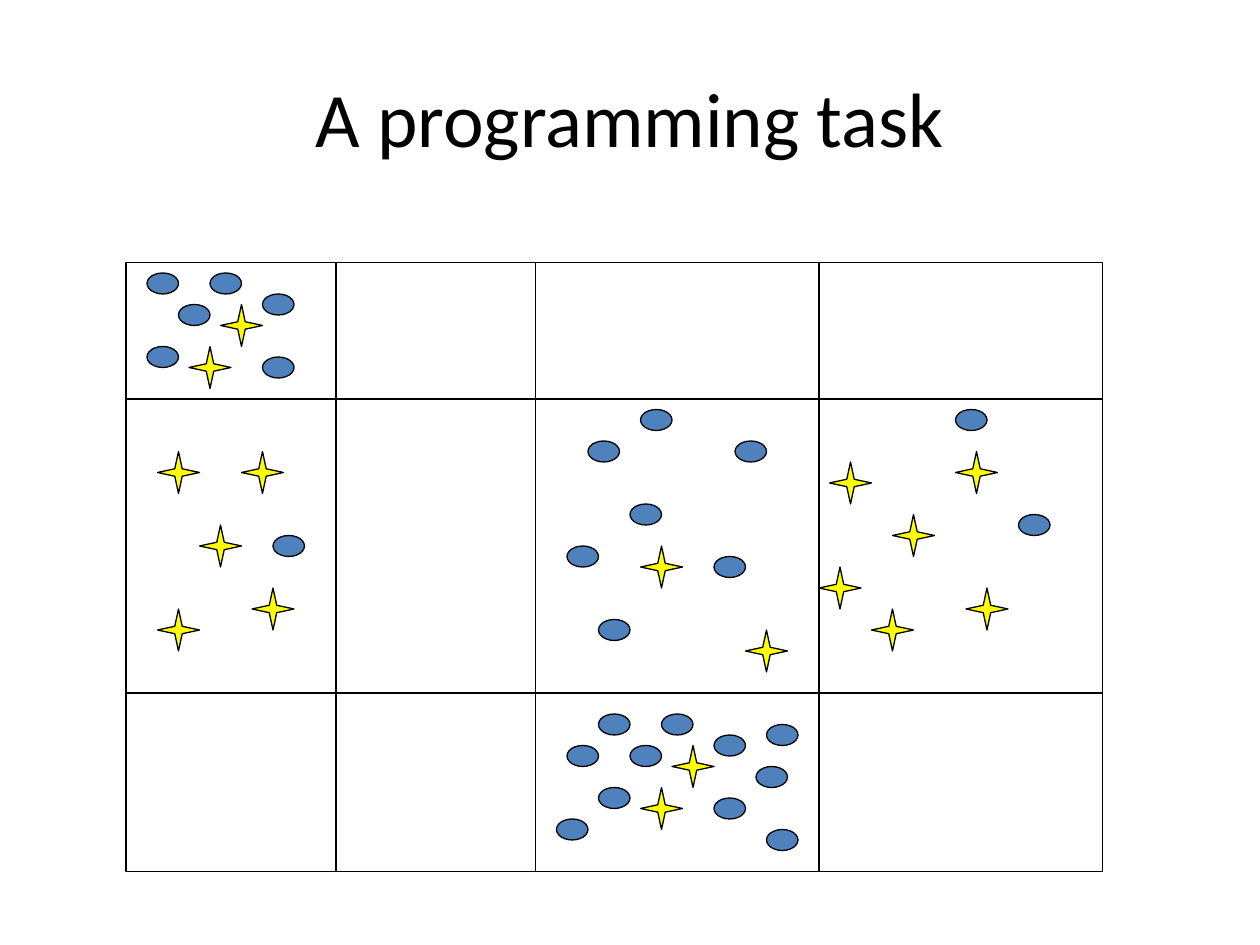
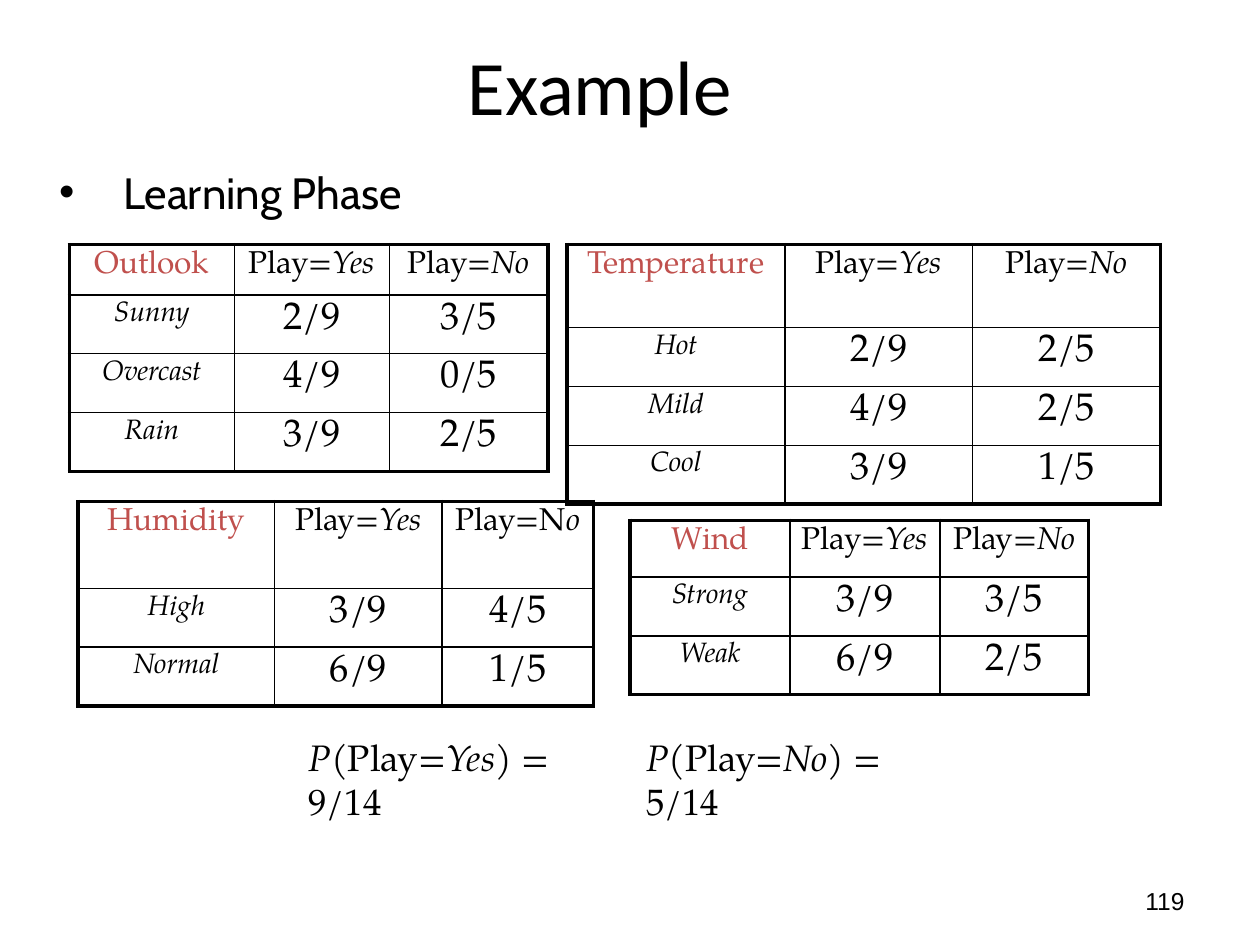
from lxml import etree
from pptx import Presentation
from pptx.dml.color import RGBColor
from pptx.enum import shapes, text
from pptx.oxml import ns
from pptx.util import Inches, Pt

BLACK = RGBColor(0x00, 0x00, 0x00)
WHITE = RGBColor(0xFF, 0xFF, 0xFF)
BLUE = RGBColor(0x4F, 0x81, 0xBD)
YELLOW = RGBColor(0xFF, 0xFF, 0x00)
RED = RGBColor(0xC0, 0x50, 0x4D)

TITLE_FONT, BULLET_FONT, PAGE_FONT = "Calibri", "Cabin", "Arial"
MATH_FONT = "TeX Gyre Pagella"
TITLE_ONLY = 5
THIN, THICK = 1, 2.25

# The scatter drawing sits on a grid of twelfths of an inch.
GRID_COLUMNS = [12, 32, 51, 78, 105]
GRID_ROWS = [25, 38, 66, 83]
OVAL_SIZE, STAR_SIZE = (3, 2), (4, 4)

# Each region of the grid: positions of its ovals, then of its stars.
REGIONS = {
    "top left": (
        [(17, 29), (14, 33), (14, 26), (20, 26), (25, 28), (25, 34)],
        [(18, 33), (21, 29)]),
    "middle left": (
        [(26, 51)],
        [(15, 43), (19, 50), (23, 43), (15, 58), (24, 56)]),
    "centre": (
        [(60, 48), (57, 59), (56, 42), (70, 42), (61, 39), (68, 53), (54, 52)],
        [(61, 52), (71, 60)]),
    "middle right": (
        [(91, 39), (97, 49)],
        [(79, 44), (78, 54), (91, 43), (83, 58), (92, 56), (85, 49)]),
    "bottom": (
        [(60, 71), (57, 75), (57, 68), (63, 68), (68, 70), (68, 76),
         (73, 79), (73, 69), (72, 73), (53, 78), (54, 71)],
        [(61, 75), (64, 71)]),
}

PLAY_YES = [("Play=", False), ("Yes", True)]
PLAY_NO = [("Play=", False), ("No", True)]
PLAY_N_O = [("Play=N", False), ("o", True)]


def twelfths(count):
    return Inches(count / 12)


def add_run(paragraph, words, size, font, color=BLACK, italic=False):
    run = paragraph.add_run()
    run.text = words
    run.font.size = Pt(size)
    run.font.name = font
    run.font.color.rgb = color
    run.font.italic = italic


def add_title(slide, words, left, top, width, height, right_inset=0.1):
    title = slide.shapes.title
    title.left, title.top = Inches(left), Inches(top)
    title.width, title.height = Inches(width), Inches(height)
    frame = title.text_frame
    frame.margin_right = Inches(right_inset)
    frame.vertical_anchor = text.MSO_ANCHOR.MIDDLE
    paragraph = frame.paragraphs[0]
    paragraph.alignment = text.PP_ALIGN.CENTER
    add_run(paragraph, words, 44, TITLE_FONT)


def add_text_box(slide, left, top, width, height):
    """Add a wrapping text box and return its text frame."""
    box = slide.shapes.add_textbox(
        Inches(left), Inches(top), Inches(width), Inches(height))
    box.text_frame.word_wrap = True
    return box.text_frame


def add_grid_shape(slide, preset, position, size, fill):
    shape = slide.shapes.add_shape(
        preset, *(twelfths(value) for value in (*position, *size)))
    shape.shadow.inherit = False
    shape.fill.solid()
    shape.fill.fore_color.rgb = fill
    shape.line.color.rgb = BLACK
    shape.line.width = Pt(0.75)
    return shape


def add_grid_line(slide, x1, y1, x2, y2):
    line = slide.shapes.add_connector(
        shapes.MSO_CONNECTOR.STRAIGHT,
        *(twelfths(value) for value in (x1, y1, x2, y2)))
    line.line.color.rgb = BLACK
    line.line.width = Pt(0.75)
    etree.SubElement(line._element.spPr, ns.qn("a:effectLst"))


def add_grid(slide):
    left, *inner_columns, right = GRID_COLUMNS
    top, *inner_rows, bottom = GRID_ROWS
    add_grid_shape(slide, shapes.MSO_SHAPE.RECTANGLE, (left, top),
                   (right - left, bottom - top), WHITE)
    for y in inner_rows:
        add_grid_line(slide, left, y, right, y)
    for x in inner_columns:
        add_grid_line(slide, x, top, x, bottom)


def add_region(slide, ovals, stars):
    for position in ovals:
        add_grid_shape(slide, shapes.MSO_SHAPE.OVAL, position, OVAL_SIZE, BLUE)
    for position in stars:
        star = add_grid_shape(slide, shapes.MSO_SHAPE.STAR_4_POINT,
                              position, STAR_SIZE, YELLOW)
        star.adjustments[0] = 0.125


def set_borders(cell, widths):
    """Draw the left, right, top and bottom borders, widths in points."""
    properties = cell._tc.get_or_add_tcPr()
    for side, width in zip("LRTB", widths):
        border = etree.SubElement(
            properties, ns.qn(f"a:ln{side}"), w=str(Pt(width)))
        fill = etree.SubElement(border, ns.qn("a:solidFill"))
        etree.SubElement(fill, ns.qn("a:srgbClr"), val=str(BLACK))


def write_cell(cell, runs, size, color=BLACK):
    cell.margin_left = cell.margin_right = Inches(0.09)
    cell.margin_top = cell.margin_bottom = Inches(0.05)
    paragraph = cell.text_frame.paragraphs[0]
    paragraph.alignment = text.PP_ALIGN.CENTER
    for words, italic in runs:
        add_run(paragraph, words, size, MATH_FONT, color, italic)


def add_probability_table(slide, feature, left, top, widths, header_height,
                          likelihoods, play_no=PLAY_NO):
    heights = [header_height] + [0.46] * len(likelihoods)
    frame = slide.shapes.add_table(
        len(heights), len(widths), Inches(left), Inches(top),
        Inches(sum(widths)), Inches(sum(heights)))
    table = frame.table
    table.first_row = table.horz_banding = False
    for column, width in zip(table.columns, widths):
        column.width = Inches(width)
    for row, height in zip(table.rows, heights):
        row.height = Inches(height)

    write_cell(table.cell(0, 0), [(feature, False)], 18, RED)
    write_cell(table.cell(0, 1), PLAY_YES, 18)
    write_cell(table.cell(0, 2), play_no, 18)
    for row, (value, *fractions) in enumerate(likelihoods, start=1):
        write_cell(table.cell(row, 0), [(value, True)], 16)
        for column, fraction in enumerate(fractions, start=1):
            write_cell(table.cell(row, column), [(fraction, False)], 22)

    last_row, last_column = len(heights) - 1, len(widths) - 1
    for row in range(len(heights)):
        for column in range(len(widths)):
            cell = table.cell(row, column)
            on_edge = (column == 0, column == last_column,
                       row == 0, row == last_row)
            set_borders(cell, [THICK if edge else THIN for edge in on_edge])
            cell.fill.background()


def add_bullet(slide, words):
    paragraph = add_text_box(slide, 0.37, 1.18, 9.48, 5.74).paragraphs[0]
    paragraph.line_spacing = 1.2
    properties = paragraph._p.get_or_add_pPr()
    properties.set("marL", str(Inches(0.51)))
    properties.set("indent", str(Inches(-0.51)))
    etree.SubElement(properties, ns.qn("a:buFont"), typeface="Arial")
    etree.SubElement(properties, ns.qn("a:buChar"), char="•")
    add_run(paragraph, words, 25, BULLET_FONT)


def add_prior(slide, left, width, outcome, fraction):
    frame = add_text_box(slide, left, 5.79, width, 0.44)
    frame.margin_left = frame.margin_right = Inches(0.09)
    frame.margin_top = frame.margin_bottom = Inches(0.04)
    pieces = [("P", True), ("(Play", False),
              (f"={outcome}) = ", True), (fraction, False)]
    for words, italic in pieces:
        add_run(frame.paragraphs[0], words, 21, MATH_FONT, italic=italic)


def add_page_number(slide, number):
    frame = add_text_box(slide, 7.17, 6.95, 2.33, 0.4)
    frame.vertical_anchor = text.MSO_ANCHOR.MIDDLE
    paragraph = frame.paragraphs[0]
    paragraph.alignment = text.PP_ALIGN.RIGHT
    add_run(paragraph, number, 14, PAGE_FONT)


def build_task_slide(slide):
    add_title(slide, "A programming task", 0.5, 0.3, 9, 1.25)
    add_grid(slide)
    for ovals, stars in REGIONS.values():
        add_region(slide, ovals, stars)


def build_example_slide(slide):
    add_title(slide, "Example", 0.44, 0.05, 9.56, 1.25, right_inset=1.02)
    add_page_number(slide, "119")
    add_bullet(slide, "Learning Phase")
    add_probability_table(
        slide, "Outlook", 0.55, 1.94, [1.31, 1.23, 1.26], 0.4,
        [("Sunny", "2/9", "3/5"),
         ("Overcast", "4/9", "0/5"),
         ("Rain", "3/9", "2/5")])
    add_probability_table(
        slide, "Temperature", 4.5, 1.94, [1.73, 1.49, 1.49], 0.66,
        [("Hot", "2/9", "2/5"),
         ("Mild", "4/9", "2/5"),
         ("Cool", "3/9", "1/5")])
    add_probability_table(
        slide, "Humidity", 0.62, 3.98, [1.56, 1.33, 1.2], 0.69,
        [("High", "3/9", "4/5"),
         ("Normal", "6/9", "1/5")], play_no=PLAY_N_O)
    add_probability_table(
        slide, "Wind", 5, 4.13, [1.27, 1.19, 1.18], 0.45,
        [("Strong", "3/9", "3/5"),
         ("Weak", "6/9", "2/5")])
    add_prior(slide, 2.36, 2.56, "Yes", "9/14")
    add_prior(slide, 5.04, 2.53, "No", "5/14")


def main():
    deck = Presentation()
    deck.slide_width, deck.slide_height = Inches(10), Inches(7.5)
    layout = deck.slide_layouts[TITLE_ONLY]
    build_task_slide(deck.slides.add_slide(layout))
    build_example_slide(deck.slides.add_slide(layout))
    deck.save("out.pptx")


if __name__ == "__main__":
    main()
